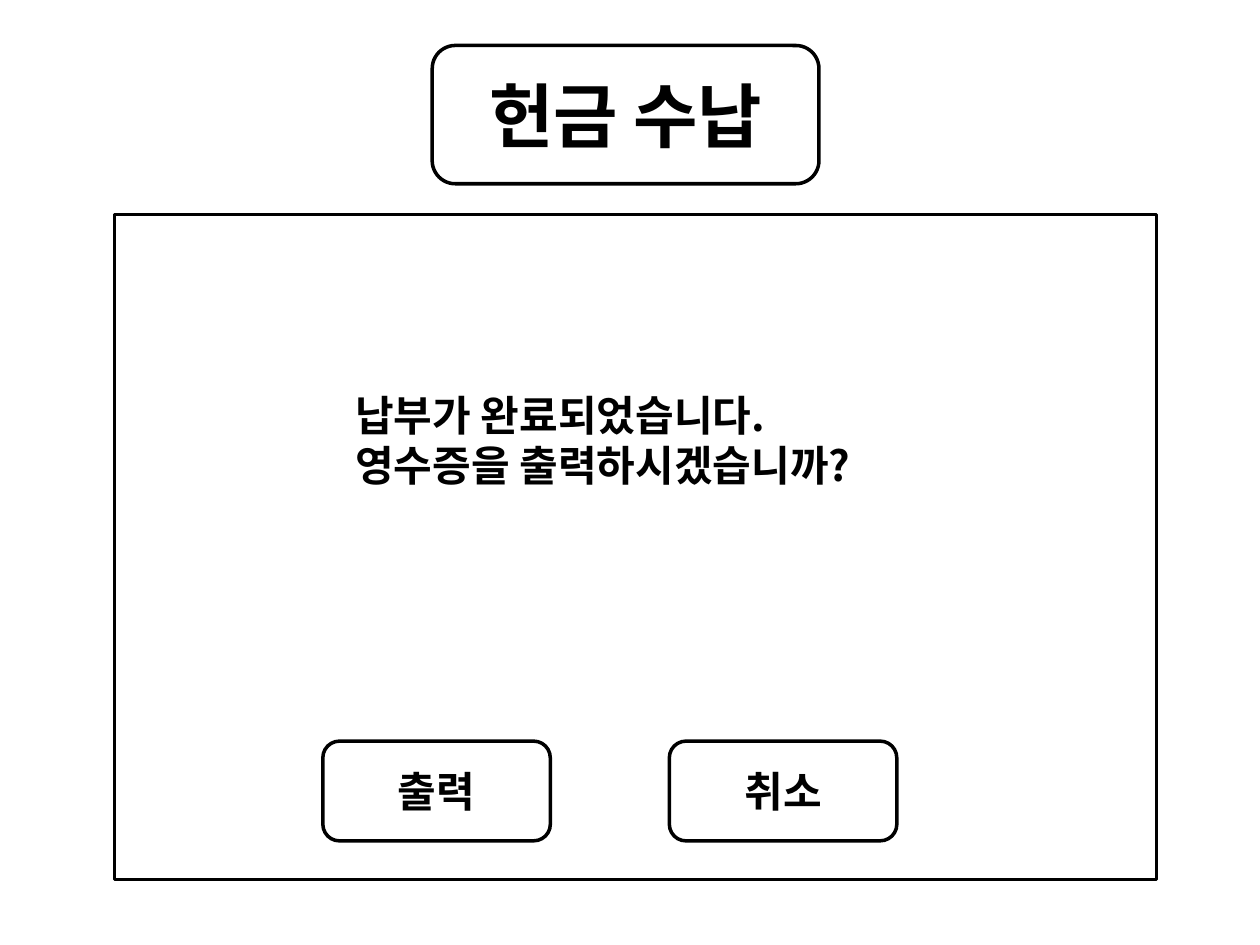
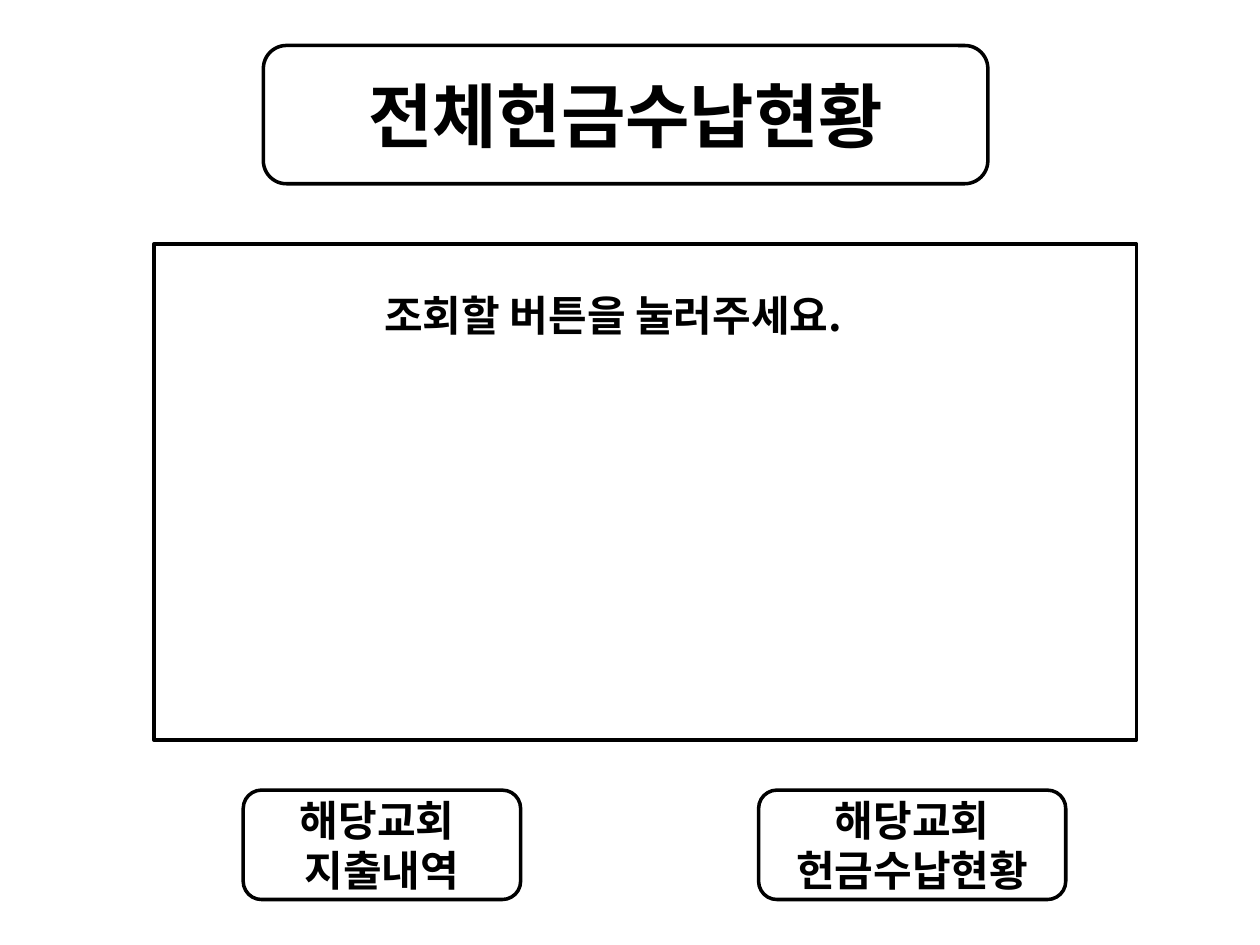
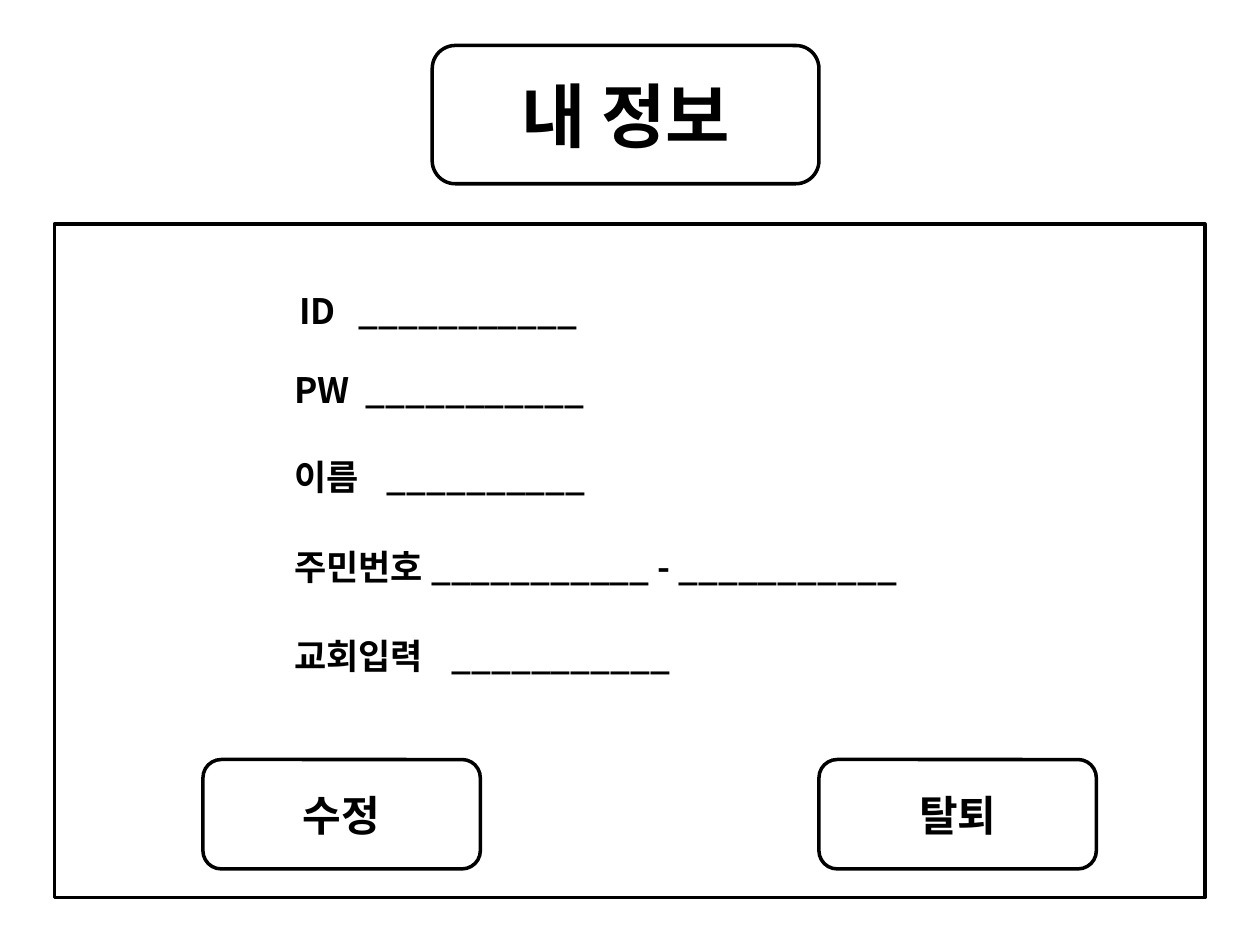
from pptx import Presentation
from pptx.dml.color import RGBColor
from pptx.enum.shapes import MSO_SHAPE
from pptx.enum.text import MSO_ANCHOR, MSO_AUTO_SIZE, PP_ALIGN
from pptx.oxml.ns import qn
from pptx.util import Pt
from lxml.etree import SubElement

COLORS = {"ink": "000000"}
FONT = "Noto Sans CJK KR"
TITLE_CENTER = 357.5
TITLE_TOP, TITLE_HEIGHT = 26, 79


class Screen:
    def __init__(self, prs):
        self.prs = prs
        self.ink = RGBColor.from_string(COLORS["ink"])
        self.s = None

    def new_slide(self, title, width):
        self.s = self.prs.slides.add_slide(self.prs.slide_layouts[5])
        box = (TITLE_CENTER - width / 2, TITLE_TOP, width, TITLE_HEIGHT)
        self.frame(MSO_SHAPE.ROUNDED_RECTANGLE, *box)
        sp = self.s.shapes.title
        sp.left, sp.top, sp.width, sp.height = [Pt(v) for v in box]
        sp.text_frame.auto_size = MSO_AUTO_SIZE.NONE
        self.set_text(sp, title, 40, PP_ALIGN.CENTER, MSO_ANCHOR.MIDDLE)

    def frame(self, kind, x, y, w, h):
        sp = self.s.shapes.add_shape(kind, Pt(x), Pt(y), Pt(w), Pt(h))
        sp.shadow.inherit = False
        sp.fill.background()
        sp.line.color.rgb = self.ink
        sp.line.width = Pt(2)
        return sp

    def panel(self, x, y, w, h):
        self.frame(MSO_SHAPE.RECTANGLE, x, y, w, h)

    def button(self, text, x, y, w, h):
        sp = self.frame(MSO_SHAPE.ROUNDED_RECTANGLE, x, y, w, h)
        self.set_text(sp, text, 24, PP_ALIGN.CENTER, MSO_ANCHOR.MIDDLE)

    def message(self, text, x, y, w, h, size=24, wrap=False):
        sp = self.s.shapes.add_textbox(Pt(x), Pt(y), Pt(w), Pt(h))
        self.set_text(sp, text, size, PP_ALIGN.LEFT, MSO_ANCHOR.TOP)
        sp.text_frame.word_wrap = wrap
        return sp

    def field(self, text, x, y, w, tab):
        sp = self.message(text, x, y, w, 47, 20, True)
        if tab:
            pPr = sp.text_frame.paragraphs[0]._p.get_or_add_pPr()
            tabs = SubElement(pPr, qn("a:tabLst"))
            SubElement(tabs, qn("a:tab"), pos=str(Pt(tab)), algn="l")

    def set_text(self, sp, text, size, align, anchor):
        tf = sp.text_frame
        tf.text = text
        tf.word_wrap = True
        tf.vertical_anchor = anchor
        for p in tf.paragraphs:
            p.alignment = align
            p.line_spacing = Pt(size * 1.2)
            for r in p.runs:
                r.font.name = FONT
                r.font.size = Pt(size)
                r.font.bold = True
                r.font.color.rgb = self.ink
                SubElement(r._r.get_or_add_rPr(), qn("a:ea"), typeface=FONT)


def payment_slide(screen):
    screen.new_slide("헌금 수납", 221)
    screen.panel(65.5, 122.5, 595.5, 380)
    screen.message("납부가 완료되었습니다.\n영수증을 출력하시겠습니까?", 196, 219, 325, 65.5)
    for i, text in enumerate(("출력", "취소")):
        screen.button(text, 184.5 + 198 * i, 423.5, 130, 57)


def status_slide(screen):
    screen.new_slide("전체헌금수납현황", 414)
    screen.button("해당교회 \n지출내역", 139, 451.5, 158.5, 62.5)
    screen.button("해당교회\n헌금수납현황", 433.5, 451.5, 175.5, 62.5)
    screen.panel(88, 139.5, 561.5, 283.5)
    screen.message("조회할 버튼을 눌러주세요.", 212.5, 162, 304, 36)


def profile_slide(screen):
    screen.new_slide("내 정보", 221)
    screen.panel(31, 128, 657.5, 385)
    for i, text in enumerate(("수정", "탈퇴")):
        screen.button(text, 116 + 352 * i, 434, 158.5, 62.5)
    blank = "_" * 11
    fields = (
        (f"ID\t{blank}", 164, 162, 226, 34),
        (f"PW\t{blank}", 161, 207, 233, 41),
        (f"이름\t{blank[1:]}", 161, 257, 212, 53),
        (f"주민번호 {blank} - {blank}", 161, 308, 408, None),
        (f"교회입력\t{blank}", 161, 359, 262, 90),
    )
    for field in fields:
        screen.field(*field)


def main():
    prs = Presentation()
    prs.slide_width, prs.slide_height = Pt(720), Pt(540)
    screen = Screen(prs)
    payment_slide(screen)
    status_slide(screen)
    profile_slide(screen)
    prs.save("out.pptx")


if __name__ == "__main__":
    main()
